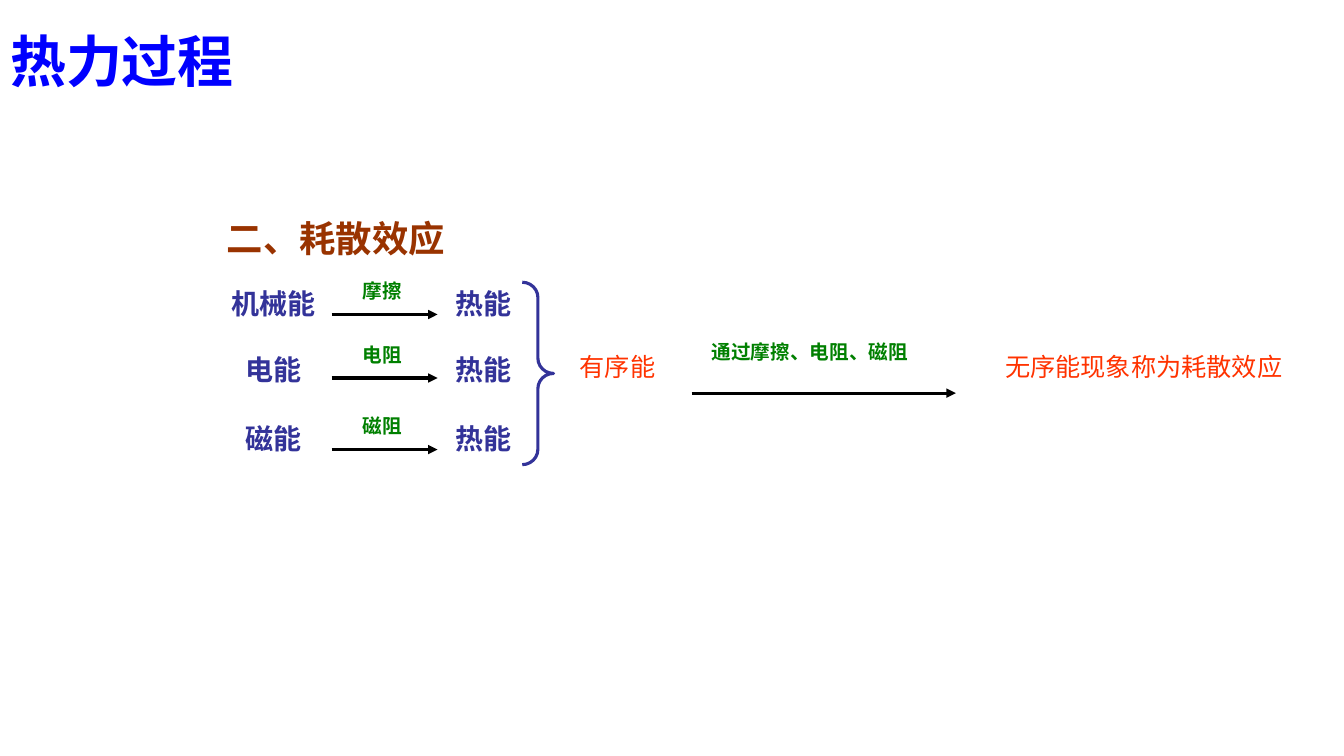
import pptx
import pptx.dml.color
import pptx.enum.shapes
import pptx.enum.text
import pptx.oxml
import pptx.oxml.ns
import pptx.util
from pptx.util import Inches

COLORS = {"title": "0000FF", "head": "993300", "energy": "333399",
          "cause": "008000", "order": "FF3300", "arrow": "000000"}

# energy, cause, top of the words, height of the arrow
ROWS = [("机械能", "摩擦", 0, 0.33),
        ("电能", "电阻", 0.66, 0.96),
        ("磁能", "磁阻", 1.34, 1.67)]


def paint(color):
    return pptx.dml.color.RGBColor.from_string(COLORS[color])


def write(shape, text, size, color, bold=True, font="Arial", wrap=False):
    frame = shape.text_frame
    frame.word_wrap = wrap
    frame.auto_size = pptx.enum.text.MSO_AUTO_SIZE.SHAPE_TO_FIT_TEXT
    frame.vertical_anchor = pptx.enum.text.MSO_ANCHOR.TOP
    frame.text = text
    para = frame.paragraphs[0]
    para.alignment = pptx.enum.text.PP_ALIGN.LEFT
    para.font.name = font
    para.font.size = pptx.util.Pt(size)
    para.font.bold = bold
    para.font.color.rgb = paint(color)


def label(slide, box, text, size, color, bold=True, wrap=False):
    shape = slide.shapes.add_textbox(*map(Inches, box))
    write(shape, text, size, color, bold, wrap=wrap)


def arrow(slide, left, top, width):
    line = slide.shapes.add_connector(
        pptx.enum.shapes.MSO_CONNECTOR.STRAIGHT,
        Inches(left), Inches(top), Inches(left + width), Inches(top))
    line.line.color.rgb = paint("arrow")
    line.line.width = pptx.util.Pt(2.25)
    tail = pptx.oxml.parse_xml(
        f'<a:tailEnd {pptx.oxml.ns.nsdecls("a")} type="triangle"/>')
    line.line._get_or_add_ln().append(tail)
    line._element.spPr.append(pptx.oxml.parse_xml(
        f'<a:effectLst {pptx.oxml.ns.nsdecls("a")}/>'))


def title(slide, left, top, width, height):
    shape = slide.shapes.title
    shape.left, shape.top = Inches(left), Inches(top)
    shape.width, shape.height = Inches(width), Inches(height)
    write(shape, "热力过程", 40, "title", font="Noto Sans CJK SC", wrap=True)


def energies(slide, left, top):
    """Three kinds of energy turning into heat, closed by a brace."""
    for energy, cause, text_y, line_y in ROWS:
        width = 0.26 + 0.28 * len(energy)
        mid = left + 0.53
        label(slide, (mid - width / 2, top + text_y, width, 0.44),
              energy, 20, "energy")
        label(slide, (left + 2.2, top + text_y, 0.8, 0.44),
              "热能", 20, "energy")
        label(slide, (left + 1.28, top + line_y - 0.4, 0.62, 0.34),
              cause, 14, "cause")
        arrow(slide, left + 1.07, top + line_y, 1.05)
    brace = slide.shapes.add_shape(
        pptx.enum.shapes.MSO_SHAPE.RIGHT_BRACE, Inches(left + 2.96),
        Inches(top + 0.01), Inches(0.31), Inches(1.81))
    brace.adjustments[0] = 0.49
    brace.shadow.inherit = False
    brace.fill.background()
    brace.line.color.rgb = paint("energy")
    brace.line.width = pptx.util.Pt(2.25)


def result(slide, left, top):
    """Ordered energy becoming disordered energy."""
    label(slide, (left, top, 0.98, 0.4), "有序能", 18, "order", False)
    label(slide, (left + 1.31, top - 0.12, 2.18, 0.34),
          "通过摩擦、电阻、磁阻", 14, "cause")
    arrow(slide, left + 1.21, top + 0.46, 2.62)
    label(slide, (left + 4.22, top, 2.98, 0.4),
          "无序能现象称为耗散效应", 18, "order", False)


def main():
    deck = pptx.Presentation()
    deck.slide_width, deck.slide_height = Inches(13.33), Inches(7.5)
    slide = deck.slides.add_slide(deck.slide_layouts[5])
    title(slide, 0, 0.21, 8.09, 0.77)
    label(slide, (2.15, 2.1, 3.57, 0.54), "二、耗散效应", 26, "head",
          wrap=True)
    energies(slide, 2.22, 2.79)
    result(slide, 5.65, 3.44)
    deck.save("out.pptx")


if __name__ == "__main__":
    main()
